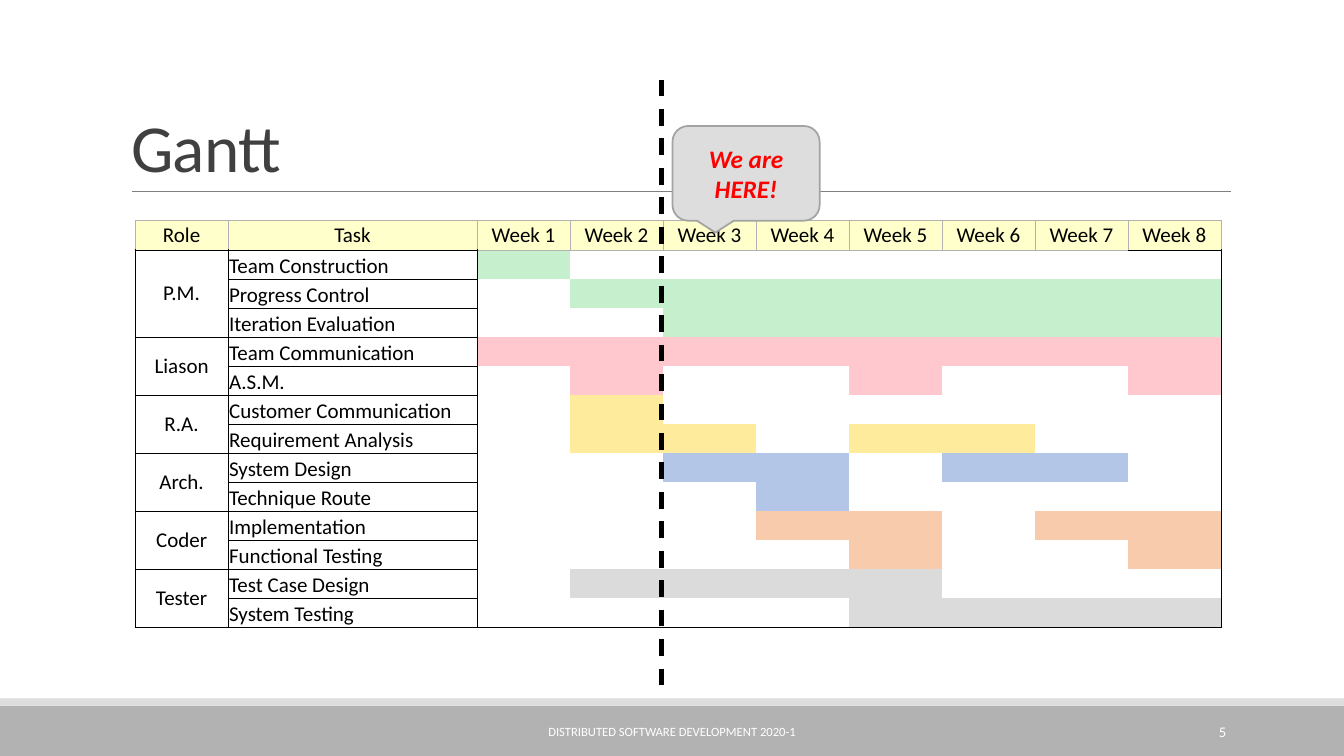
"""Build the Gantt slide with its week table, today line and callout."""
from dataclasses import dataclass
from typing import Optional

import lxml.etree
import pptx
import pptx.dml.color
import pptx.enum.dml
import pptx.enum.shapes
import pptx.enum.text
import pptx.oxml.ns
import pptx.util

Inches = pptx.util.Inches
Pt = pptx.util.Pt
RGBColor = pptx.dml.color.RGBColor
Align = pptx.enum.text.PP_ALIGN
Anchor = pptx.enum.text.MSO_ANCHOR
Preset = pptx.enum.shapes.MSO_SHAPE
qn = pptx.oxml.ns.qn

BLACK = RGBColor(0x00, 0x00, 0x00)
WHITE = RGBColor(0xFF, 0xFF, 0xFF)
RED = RGBColor(0xFF, 0x00, 0x00)
TITLE_GREY = RGBColor(0x40, 0x40, 0x40)
RULE_GREY = RGBColor(0x80, 0x80, 0x80)
OUTLINE_GREY = RGBColor(0xA3, 0xA3, 0xA3)
BAND_GREY = RGBColor(0xB2, 0xB2, 0xB2)
LIGHT_GREY = RGBColor(0xDD, 0xDD, 0xDD)
HEADER_YELLOW = RGBColor(0xFF, 0xFF, 0xCC)
GREEN = RGBColor(0xC6, 0xEF, 0xCE)
PINK = RGBColor(0xFF, 0xC7, 0xCE)
YELLOW = RGBColor(0xFF, 0xEB, 0x9C)
BLUE = RGBColor(0xB4, 0xC6, 0xE7)
ORANGE = RGBColor(0xF8, 0xCB, 0xAD)
SILVER = RGBColor(0xDB, 0xDB, 0xDB)

FONT = "Calibri"
TABLE_SIZE = 15
WEEKS = 8
TABLE_WIDTH, TASK_WIDTH = 10.77, 2.47
TIGHT = {"margin_left": Inches(0.01), "margin_top": Inches(0.01),
         "margin_right": Inches(0.01), "margin_bottom": 0}
ROOMY = {"margin_left": Inches(0.12), "margin_top": Inches(0.06),
         "margin_right": Inches(0.12), "margin_bottom": Inches(0.06)}


@dataclass(frozen=True)
class Task:
    name: str
    weeks: tuple


@dataclass(frozen=True)
class Role:
    name: str
    color: RGBColor
    tasks: tuple


@dataclass(frozen=True)
class Line:
    start: tuple
    end: tuple
    color: RGBColor
    width: float
    dash: Optional[pptx.enum.dml.MSO_LINE] = None


@dataclass(frozen=True)
class FooterText:
    text: str
    left: float
    width: float
    size: float
    align: Align


ROLES = (
    Role("P.M.", GREEN, (Task("Team Construction", (1,)),
                         Task("Progress Control", tuple(range(2, 9))),
                         Task("Iteration Evaluation", tuple(range(3, 9))))),
    Role("Liason", PINK, (Task("Team Communication", tuple(range(1, 9))),
                          Task("A.S.M.", (2, 5, 8)))),
    Role("R.A.", YELLOW, (Task("Customer Communication", (2,)),
                          Task("Requirement Analysis", (2, 3, 5, 6)))),
    Role("Arch.", BLUE, (Task("System Design", (3, 4, 6, 7)),
                         Task("Technique Route", (4,)))),
    Role("Coder", ORANGE, (Task("Implementation", (4, 5, 7, 8)),
                           Task("Functional Testing", (5, 8)))),
    Role("Tester", SILVER, (Task("Test Case Design", (2, 3, 4, 5)),
                            Task("System Testing", (5, 6, 7, 8)))),
)
FOOTERS = (
    FooterText("DISTRIBUTED SOFTWARE DEVELOPMENT 2020-1", 4.03, 5.27, 9, Align.CENTER),
    FooterText("5", 10.83, 1.43, 10.5, Align.RIGHT),
)
TITLE_RULE = Line((1.31, 1.9), (12.21, 1.9), RULE_GREY, 0.5)
TODAY = Line((6.56, 0.79), (6.56, 6.88), BLACK, 3, pptx.enum.dml.MSO_LINE.DASH)


def apply(target: object, values: dict) -> None:
    for name, value in values.items():
        setattr(target, name, value)


def write(frame, text: str, size: float, color: RGBColor, align: Align, **styles):
    paragraph = frame.paragraphs[0]
    paragraph.alignment = align
    run = paragraph.add_run()
    run.text = text
    apply(run.font, {"name": FONT, "size": Pt(size), **styles})
    run.font.color.rgb = color
    return run


def add_panel(slide, preset: Preset, box: tuple, color: RGBColor):
    panel = slide.shapes.add_shape(preset, *map(Inches, box))
    panel.shadow.inherit = False
    panel.fill.solid()
    panel.fill.fore_color.rgb = color
    panel.line.fill.background()
    return panel


def add_line(slide, line: Line) -> None:
    connector = slide.shapes.add_connector(
        pptx.enum.shapes.MSO_CONNECTOR.STRAIGHT, *map(Inches, line.start + line.end))
    connector.line.color.rgb = line.color
    apply(connector.line, {"width": Pt(line.width), "dash_style": line.dash})
    lxml.etree.SubElement(connector._element.spPr, qn("a:effectLst"))


def add_title(slide) -> None:
    title = slide.shapes.title
    apply(title, {"left": Inches(1.2), "top": Inches(0.31),
                  "width": Inches(11), "height": Inches(1.59)})
    apply(title.text_frame, {"vertical_anchor": Anchor.BOTTOM, "word_wrap": True,
                             "auto_size": pptx.enum.text.MSO_AUTO_SIZE.NONE})
    run = write(title.text_frame, "Gantt", 48, TITLE_GREY, Align.LEFT)
    run.font._element.set("spc", "-50")
    title.text_frame.paragraphs[0].line_spacing = 0.85


def format_cell(cell, borders: dict, color: Optional[RGBColor], margins: dict) -> None:
    apply(cell, margins)
    properties = cell._tc.get_or_add_tcPr()
    for side in "LRTB":
        edge = lxml.etree.SubElement(properties, qn(f"a:ln{side}"), w=str(Pt(0.5)))
        if side in borders:
            fill = lxml.etree.SubElement(edge, qn("a:solidFill"))
            lxml.etree.SubElement(fill, qn("a:srgbClr"), val=str(borders[side]))
        else:
            lxml.etree.SubElement(edge, qn("a:noFill"))
    if color is None:
        cell.fill.background()
    else:
        cell.fill.solid()
        cell.fill.fore_color.rgb = color


def week_borders(week: int, row: int, last_row: int) -> dict:
    last_week = week == WEEKS
    rules = (("L", week == 1, BLACK), ("R", last_week, BLACK),
             ("T", row == 1, BLACK if last_week else BAND_GREY), ("B", row == last_row, BLACK))
    return {side: color for side, drawn, color in rules if drawn}


def add_schedule(slide) -> None:
    last_row = sum(len(role.tasks) for role in ROLES)
    table = slide.shapes.add_table(last_row + 1, WEEKS + 2, Inches(1.34), Inches(2.19),
                                   Inches(TABLE_WIDTH), Inches(4.04)).table
    apply(table, {"first_row": False, "horz_banding": False})
    for index, column in enumerate(table.columns):
        column.width = Inches(TASK_WIDTH if index == 1
                              else (TABLE_WIDTH - TASK_WIDTH) / (WEEKS + 1))

    def label(cell, text: str, align: Align, anchor: Anchor) -> None:
        cell.vertical_anchor = anchor
        write(cell.text_frame, text, TABLE_SIZE, BLACK, align)

    def shrink_empty(cell) -> None:
        lxml.etree.SubElement(cell.text_frame.paragraphs[0]._p, qn("a:endParaRPr"),
                              sz=str(TABLE_SIZE * 100))

    headings = ["Role", "Task"] + [f"Week {week}" for week in range(1, WEEKS + 1)]
    for index, heading in enumerate(headings):
        bottom = BLACK if heading in ("Role", "Task", f"Week {WEEKS}") else BAND_GREY
        cell = table.cell(0, index)
        format_cell(cell, {**dict.fromkeys("LRT", BAND_GREY), "B": bottom}, HEADER_YELLOW, TIGHT)
        label(cell, heading, Align.CENTER, Anchor.MIDDLE)

    boxed = dict.fromkeys("LRTB", BLACK)
    row = 1
    for role in ROLES:
        first = table.cell(row, 0)
        first.merge(table.cell(row + len(role.tasks) - 1, 0))
        label(first, role.name, Align.CENTER, Anchor.MIDDLE)
        for position, task in enumerate(role.tasks):
            format_cell(table.cell(row, 0), boxed, None, TIGHT if position else ROOMY)
            if position:
                shrink_empty(table.cell(row, 0))
            format_cell(table.cell(row, 1), boxed, None, TIGHT)
            label(table.cell(row, 1), task.name, Align.LEFT, Anchor.BOTTOM)
            for week in range(1, WEEKS + 1):
                cell = table.cell(row, week + 1)
                format_cell(cell, week_borders(week, row, last_row),
                            role.color if week in task.weeks else None, TIGHT)
                shrink_empty(cell)
            row += 1


def add_footer(slide, footer: FooterText) -> None:
    frame = slide.shapes.add_textbox(Inches(footer.left), Inches(7.06),
                                     Inches(footer.width), Inches(0.4)).text_frame
    apply(frame, {"word_wrap": True, "vertical_anchor": Anchor.MIDDLE})
    write(frame, footer.text, footer.size, WHITE, footer.align)


def add_callout(slide) -> None:
    callout = add_panel(slide, Preset.ROUNDED_RECTANGULAR_CALLOUT,
                        (6.67, 1.25, 1.46, 0.94), LIGHT_GREY)
    callout.line.color.rgb = OUTLINE_GREY
    callout.line.width = Pt(1.25)
    apply(callout.text_frame, {"word_wrap": True, "vertical_anchor": Anchor.MIDDLE})
    write(callout.text_frame, "We are HERE!", 18, RED, Align.CENTER, bold=True, italic=True)


def main() -> None:
    deck = pptx.Presentation()
    apply(deck, {"slide_width": Inches(13.33), "slide_height": Inches(7.5)})
    slide = deck.slides.add_slide(deck.slide_layouts[5])
    add_panel(slide, Preset.RECTANGLE, (0, 7, 13.33, 0.5), BAND_GREY)
    add_panel(slide, Preset.RECTANGLE, (0, 6.93, 13.33, 0.07), LIGHT_GREY)
    add_line(slide, TITLE_RULE)
    add_title(slide)
    add_schedule(slide)
    for footer in FOOTERS:
        add_footer(slide, footer)
    add_callout(slide)
    add_line(slide, TODAY)
    deck.save("out.pptx")


if __name__ == "__main__":
    main()
